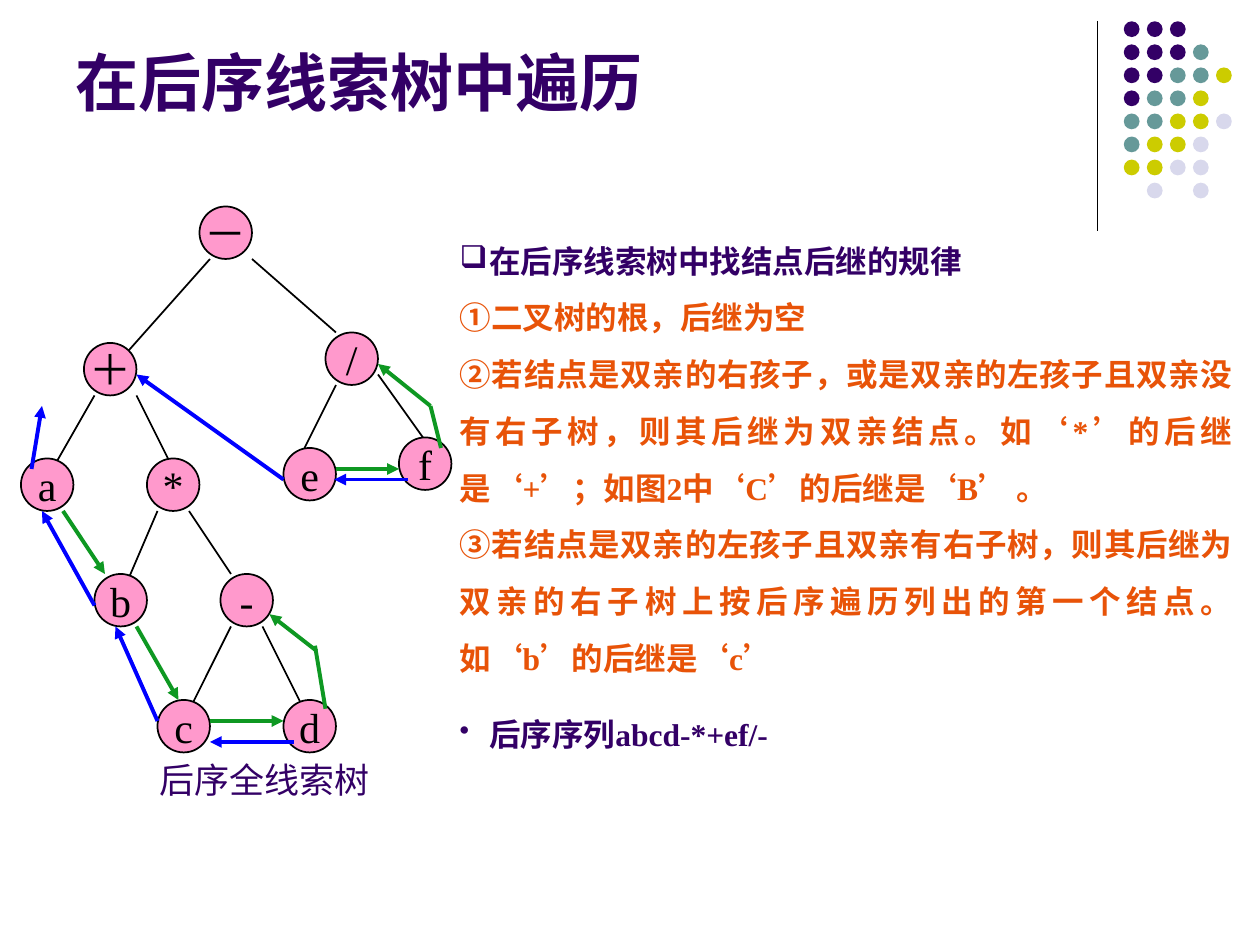
from lxml.etree import SubElement
from pptx import Presentation
from pptx.dml.color import RGBColor
from pptx.enum.lang import MSO_LANGUAGE_ID
from pptx.enum.shapes import MSO_CONNECTOR, MSO_SHAPE
from pptx.enum.text import MSO_ANCHOR, PP_ALIGN
from pptx.oxml.ns import qn
from pptx.util import Pt

FONT = "Times New Roman"
COLORS = {
    "purple": "330066", "teal": "669999", "olive": "CCCC00", "lavender": "D8D8EC",
    "pink": "FF99CC", "black": "000000", "green": "0E9822", "blue": "0000FF",
    "orange": "E85308",
}
NODE_SIZE = 30
DOT_SIZE = 9
DOT_PITCH = 13.17
DOT_ORIGIN = (642.2, 12.2)
DOT_COLORS = {"P": "purple", "T": "teal", "O": "olive", "L": "lavender"}
DOT_ROWS = ["PPP", "PPPT", "PPTTO", "PTTO", "TTOOL", "TOOL", "OOLL", " L L"]

NODES = [
    ("－", 114, 118), ("＋", 48, 196), ("*", 84, 262), ("a", 12, 262),
    ("/", 186, 190), ("b", 54, 328), ("-", 126, 328), ("d", 162, 400),
    ("c", 90, 400), ("f", 228, 250), ("e", 162, 256),
]
EDGES = [
    (120, 148, 72, 202), (54, 226, 30, 268), (78, 226, 96, 262),
    (90, 292, 72, 334), (108, 292, 132, 328), (150, 358, 174, 406),
    (132, 358, 108, 406), (144, 148, 192, 190), (192, 220, 174, 256),
    (216, 214, 246, 256),
]
THREADS = {
    "green": [
        (36, 292, 60, 328), (78, 358, 102, 400), (120, 412, 162, 412),
        (192, 268, 228, 268), (246, 232, 216, 208), (181, 372, 154, 351),
    ],
    "blue": [
        (162, 274, 78, 214), (18, 268, 24, 232), (54, 346, 24, 292),
        (90, 412, 66, 358), (233, 274, 191, 274), (168, 424, 120, 424),
    ],
}
THREAD_TAILS = [(252, 256, 246, 232), (186, 405, 180, 369)]

HEADING = "在后序线索树中找结点后继的规律"
RULES = [
    "①二叉树的根，后继为空",
    "②若结点是双亲的右孩子，或是双亲的左孩子且双亲没有右子树，则其后继为双亲结点。"
    "如‘*’的后继是‘+’；如图2中‘C’的后继是‘B’ 。",
    "③若结点是双亲的左孩子且双亲有右子树，则其后继为双亲的右子树上按后序遍历列出的"
    "第一个结点。如‘b’的后继是‘c’",
]
SEQUENCE = "后序序列abcd-*+ef/-"


def color(name):
    return RGBColor.from_string(COLORS[name])


def add_line(shapes, ends, line_color, width, arrow=False):
    line = shapes.add_connector(MSO_CONNECTOR.STRAIGHT, *map(Pt, ends))
    line.line.color.rgb = color(line_color)
    line.line.width = Pt(width)
    if arrow:
        SubElement(line.line._get_or_add_ln(), qn("a:tailEnd"), type="triangle")
    SubElement(line._element.spPr, qn("a:effectLst"))


def add_circle(shapes, left, top, size, fill):
    circle = shapes.add_shape(MSO_SHAPE.OVAL, Pt(left), Pt(top), Pt(size), Pt(size))
    circle.shadow.inherit = False
    circle.fill.solid()
    circle.fill.fore_color.rgb = color(fill)
    circle.line.fill.background()
    return circle


def add_run(paragraph, text, size, text_color, bold=False):
    run = paragraph.add_run()
    run.text = text
    font = run.font
    font.name, font.size, font.bold = FONT, Pt(size), bold
    font.color.rgb = color(text_color)
    font.language_id = MSO_LANGUAGE_ID.SIMPLIFIED_CHINESE


def add_text_frame(slide, left, top, width, height):
    frame = slide.shapes.add_textbox(Pt(left), Pt(top), Pt(width), Pt(height)).text_frame
    frame.word_wrap = True
    return frame


def add_bullet(paragraph, character, percent):
    properties = paragraph._p.get_or_add_pPr()
    properties.set("marL", str(Pt(17)))
    properties.set("indent", str(Pt(-17)))
    bullet_color = SubElement(properties, qn("a:buClr"))
    SubElement(bullet_color, qn("a:srgbClr"), val=COLORS["purple"])
    SubElement(properties, qn("a:buSzPct"), val=str(percent * 1000))
    SubElement(properties, qn("a:buChar"), char=character)


def add_corner_dots(slide):
    group = slide.shapes.add_group_shape()
    left, top = DOT_ORIGIN
    for row, pattern in enumerate(DOT_ROWS):
        for column, key in enumerate(pattern):
            if key in DOT_COLORS:
                add_circle(group.shapes, left + column * DOT_PITCH, top + row * DOT_PITCH,
                           DOT_SIZE, DOT_COLORS[key])


def add_node(slide, label, left, top):
    node = add_circle(slide.shapes, left, top, NODE_SIZE, "pink")
    node.line.color.rgb = color("black")
    node.line.width = Pt(1)
    frame = node.text_frame
    frame.word_wrap = False
    frame.vertical_anchor = MSO_ANCHOR.MIDDLE
    paragraph = frame.paragraphs[0]
    paragraph.alignment = PP_ALIGN.CENTER
    add_run(paragraph, label, 24, "black")


def add_tree(slide):
    edge_group = slide.shapes.add_group_shape()
    for edge in EDGES:
        add_line(edge_group.shapes, edge, "black", 1)
    for node in NODES:
        add_node(slide, *node)
    for tail in THREAD_TAILS:
        add_line(slide.shapes, tail, "green", 2.25)
    for thread_color, threads in THREADS.items():
        for thread in threads:
            add_line(slide.shapes, thread, thread_color, 2.25, arrow=True)


def add_rules(slide):
    frame = add_text_frame(slide, 255.6, 123.8, 455.8, 310.3)
    heading = frame.paragraphs[0]
    add_bullet(heading, "❑", 100)
    add_run(heading, HEADING, 18, "purple", bold=True)
    for rule in RULES:
        add_run(frame.add_paragraph(), rule, 18, "orange", bold=True)
    for paragraph in frame.paragraphs:
        paragraph.alignment = PP_ALIGN.JUSTIFY
    sequence = frame.add_paragraph()
    add_bullet(sequence, "•", 90)
    sequence.space_before = Pt(11.2)
    add_run(sequence, SEQUENCE, 18, "purple", bold=True)
    for paragraph in frame.paragraphs:
        paragraph.line_spacing = 1.5


def main():
    presentation = Presentation()
    presentation.slide_width, presentation.slide_height = Pt(720), Pt(540)
    slide = presentation.slides.add_slide(presentation.slide_layouts[6])

    add_line(slide.shapes, (627, 12, 627, 132), "black", 0.75)
    add_corner_dots(slide)

    title = add_text_frame(slide, 36, 9.4, 594, 62)
    title.vertical_anchor = MSO_ANCHOR.BOTTOM
    add_run(title.paragraphs[0], "在后序线索树中遍历", 36, "purple", bold=True)

    add_tree(slide)
    caption = add_text_frame(slide, 84, 430, 144, 31.5)
    add_run(caption.paragraphs[0], "后序全线索树", 20, "purple")
    add_rules(slide)
    presentation.save("out.pptx")


if __name__ == "__main__":
    main()
